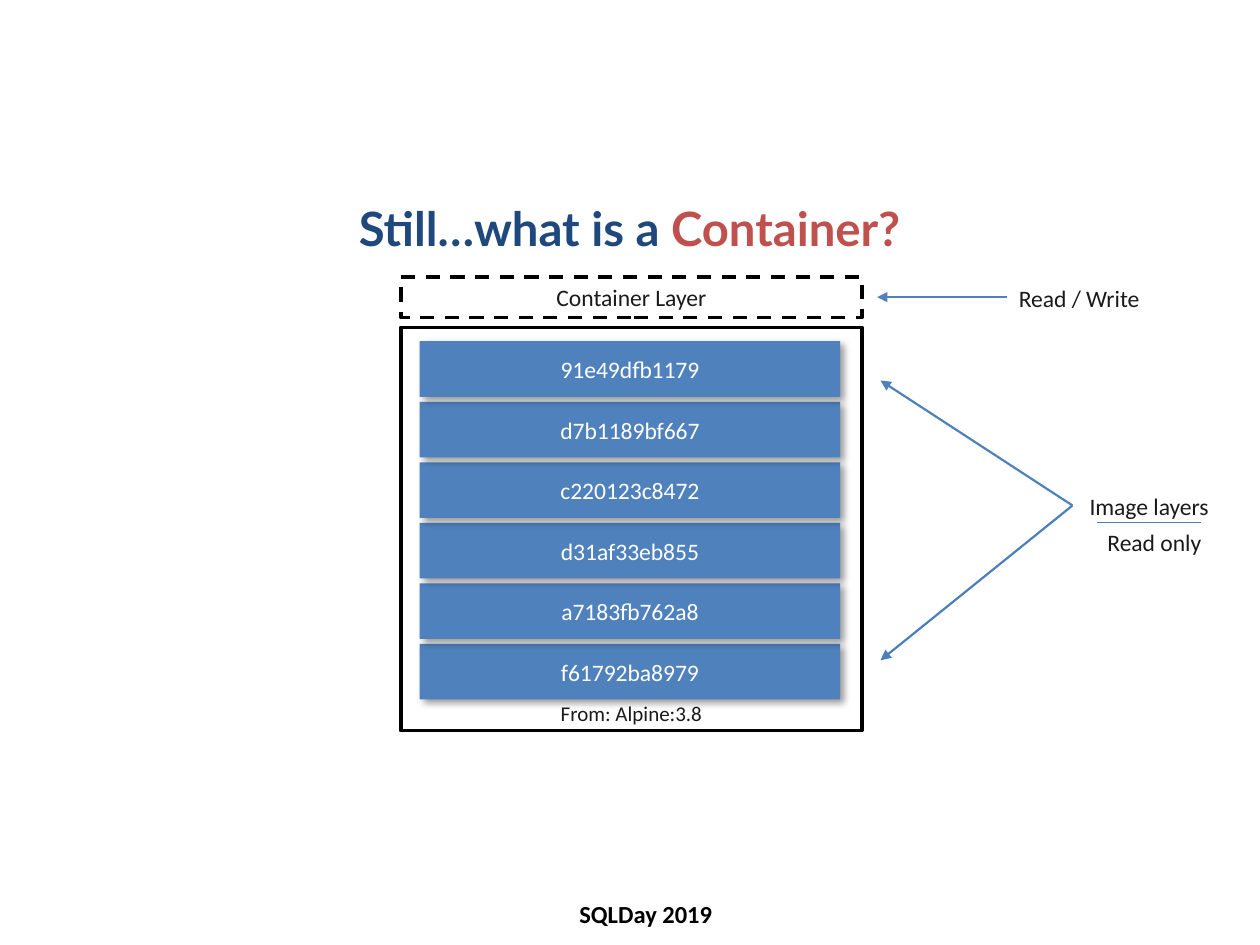
import pptx
import pptx.util
import pptx.dml.color
import pptx.enum.dml
import pptx.enum.shapes
import pptx.enum.text
import pptx.oxml
import pptx.oxml.ns
from pptx.util import Cm

BLACK, WHITE, INK = "000000", "FFFFFF", "1A1A1A"
NAVY, RED, BLUE, STEEL = "1F497D", "C0504D", "4F81BD", "4B7EBC"

# Content (places are left, top, width, height in cm)
TITLE = [("Still…what is a ", NAVY), ("Container?", RED)]
FOOTER = "SQLDay 2019"
LAYERS = ["91e49dfb1179", "d7b1189bf667", "c220123c8472",
          "d31af33eb855", "a7183fb762a8", "f61792ba8979"]
LABELS = [
    ("Image layers", (21.69, 9.8, 2.95, 0.84)),
    ("Read only", (22.05, 10.52, 2.44, 0.84)),
    ("Read / Write", (20.27, 5.59, 2.97, 0.84)),
]
FORK = (21.62, 10.19)
LINES = [  # start, end, colour, width, arrowhead
    (FORK, (17.75, 7.67), BLUE, 1.25, True),
    (FORK, (17.75, 13.31), STEEL, 1.25, True),
    ((20.29, 5.99), (17.68, 5.99), BLUE, 1.25, True),
    ((22.12, 10.54), (24.21, 10.54), STEEL, 0.75, False),
]
STACK_LEFT, STACK_WIDTH = 8.08, 9.3
LAYER_LEFT, LAYER_TOP, LAYER_WIDTH, LAYER_HEIGHT = 8.46, 6.88, 8.48, 1.12
LAYER_STEP = 1.22

deck = pptx.Presentation()
deck.slide_width, deck.slide_height = Cm(25.4), Cm(19.05)
page = deck.slides.add_slide(deck.slide_layouts[6])


def colour(value):
    return pptx.dml.color.RGBColor.from_string(value)


def write(text, box, size=13.5, ink=INK, font="Calibri", bold=False,
          anchor="MIDDLE", wrap=True):
    """Centre text in a box; text is a string or a list of (string, colour)."""
    frame = box.text_frame
    frame.word_wrap = wrap
    frame.vertical_anchor = getattr(pptx.enum.text.MSO_ANCHOR, anchor)
    para = frame.paragraphs[0]
    para.alignment = pptx.enum.text.PP_ALIGN.CENTER
    for words, shade in [(text, ink)] if isinstance(text, str) else text:
        span = para.add_run()
        span.text = words
        span.font.name, span.font.bold = font, bold
        span.font.size = pptx.util.Pt(size)
        span.font.color.rgb = colour(shade)


def add_text(text, place, **style):
    write(text, page.shapes.add_textbox(*map(Cm, place)), **style)


def add_box(place, fill, outline=None, dashed=False):
    box = page.shapes.add_shape(
        pptx.enum.shapes.MSO_SHAPE.RECTANGLE, *map(Cm, place))
    box.fill.solid()
    box.fill.fore_color.rgb = colour(fill)
    if outline:
        box.line.color.rgb = colour(outline)
        box.line.width = pptx.util.Pt(2)
    else:
        box.line.fill.background()
    if dashed:
        box.line.dash_style = pptx.enum.dml.MSO_LINE.DASH
    box.shadow.inherit = False
    return box


def add_shadow(box):
    effects = box._element.spPr.find(pptx.oxml.ns.qn("a:effectLst"))
    effects.append(pptx.oxml.parse_xml(
        f'<a:outerShdw {pptx.oxml.ns.nsdecls("a")} blurRad="50800" '
        'dist="38100" dir="2700000" algn="tl" rotWithShape="0">'
        '<a:srgbClr val="000000"><a:alpha val="40000"/></a:srgbClr>'
        '</a:outerShdw>'))


def add_line(start, end, shade, width, arrow):
    line = page.shapes.add_connector(
        pptx.enum.shapes.MSO_CONNECTOR.STRAIGHT, *map(Cm, start + end))
    line.line.color.rgb = colour(shade)
    line.line.width = pptx.util.Pt(width)
    if arrow:
        line.line._get_or_add_ln().append(pptx.oxml.parse_xml(
            f'<a:tailEnd {pptx.oxml.ns.nsdecls("a")} type="triangle"/>'))
    line._element.spPr.append(pptx.oxml.parse_xml(
        f'<a:effectLst {pptx.oxml.ns.nsdecls("a")}/>'))


# Footer and title
add_text(FOOTER, (5.54, 17.88, 14.96, 1.07), size=14, ink=BLACK, bold=True)
add_text(TITLE, (6.3, 3.89, 12.78, 1.42), size=27, font="Lato", bold=True,
         anchor="TOP")

# Frame around the image layers, with the base image at its foot
image_frame = add_box((STACK_LEFT, 6.6, STACK_WIDTH, 8.13), WHITE, BLACK)
image_frame.text_frame.margin_bottom = Cm(0.1)
write("From: Alpine:3.8", image_frame, size=12, anchor="BOTTOM")

# Image layers, from the lowest up
for index, name in reversed(list(enumerate(LAYERS))):
    layer = add_box((LAYER_LEFT, LAYER_TOP + index * LAYER_STEP,
                     LAYER_WIDTH, LAYER_HEIGHT), BLUE)
    add_shadow(layer)
    write(name, layer, ink=WHITE)

# Writable layer on top
write("Container Layer",
      add_box((STACK_LEFT, 5.59, STACK_WIDTH, 0.81), WHITE, BLACK, dashed=True))

# Arrows, rule and side labels
for line_data in LINES:
    add_line(*line_data)
for label, place in LABELS:
    add_text(label, place, anchor="TOP", wrap=False)

deck.save("out.pptx")
